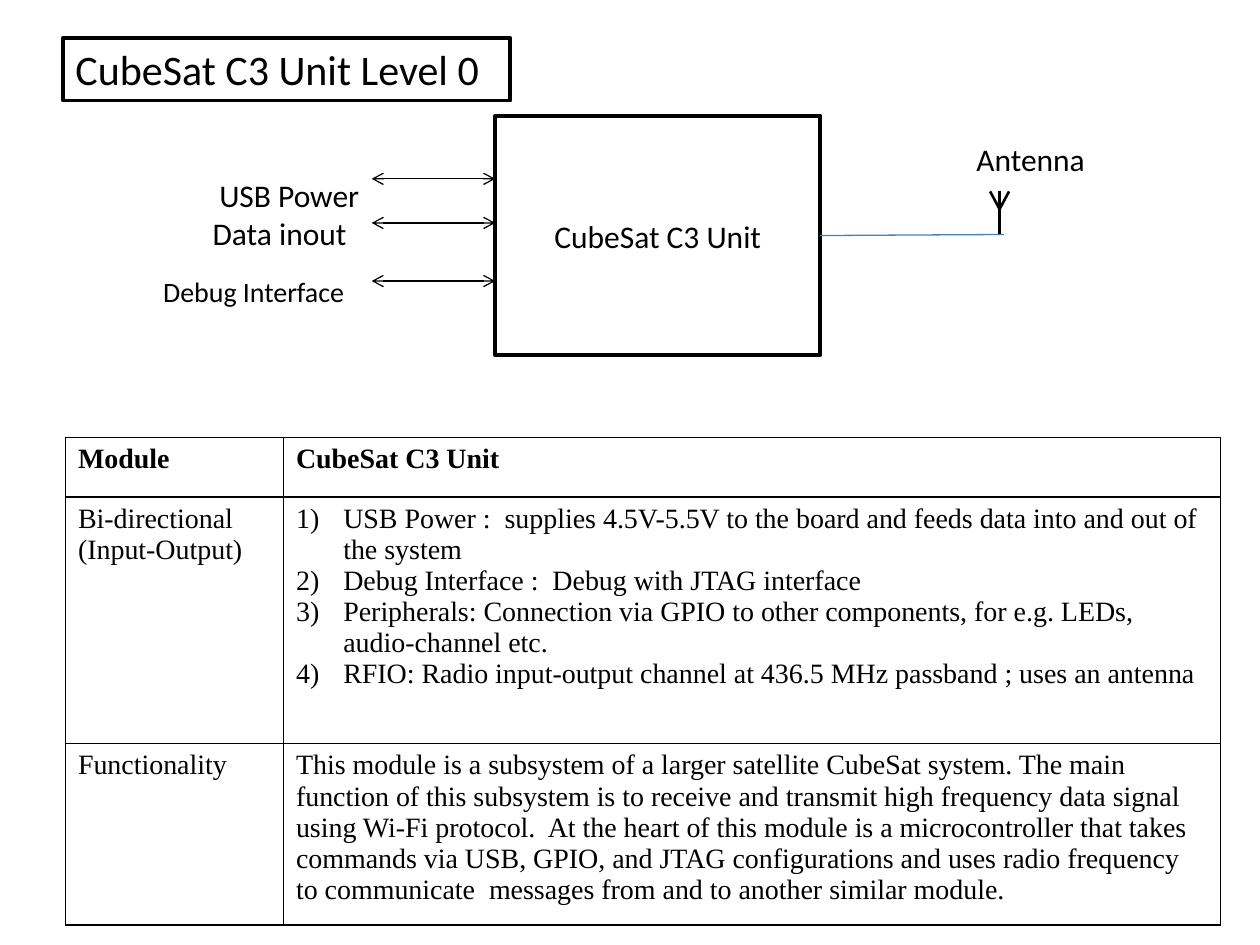
from lxml.etree import SubElement
from pptx import Presentation
from pptx.dml.color import RGBColor
from pptx.enum.shapes import MSO_CONNECTOR as CONN, MSO_SHAPE as SHAPE
from pptx.enum.text import MSO_ANCHOR as ANCHOR, PP_ALIGN as ALIGN
from pptx.oxml.ns import qn
from pptx.util import Pt

BLACK = RGBColor(0x00, 0x00, 0x00)
WHITE = RGBColor(0xFF, 0xFF, 0xFF)
BLUE = RGBColor(0x4B, 0x7E, 0xBC)

BOX_LEFT, BOX_TOP, BOX_WIDTH, BOX_HEIGHT = 283, 66.2, 185.8, 136.8
PORT_LEFT = 212.4
PORTS = [
    ("USB Power", 18, (97.2, 97.2, 115.2, 30.2), 102.2),
    ("Data inout", 18, (87.8, 118.8, 117.4, 30.2), 127.4),
    ("Debug Interface", 16, (75.6, 153.4, 128.2, 30.2), 160.6),
]
MAST_X, MAST_TOP, MAST_FORK, MAST_FOOT = 571.2, 109.4, 119.5, 134
FORK_HALF = 5.4

ROWS = [
    ("Module", ["CubeSat C3 Unit"]),
    ("Bi-directional (Input-Output)", [
        "USB Power :  supplies 4.5V-5.5V to the board and feeds data into and out of the system",
        "Debug Interface :  Debug with JTAG interface",
        "Peripherals: Connection via GPIO to other components, for e.g. LEDs, audio-channel etc.",
        "RFIO: Radio input-output channel at 436.5 MHz passband ; uses an antenna",
    ]),
    ("Functionality", [
        "This module is a subsystem of a larger satellite CubeSat system. The main function of "
        "this subsystem is to receive and transmit high frequency data signal using Wi-Fi "
        "protocol.  At the heart of this module is a microcontroller that takes commands via "
        "USB, GPIO, and JTAG configurations and uses radio frequency to communicate  messages "
        "from and to another similar module."
    ]),
]


class Sheet:
    label_font = "Calibri"
    table_font = "Times New Roman"
    table_size = 16

    def __init__(self, slide):
        self.slide = slide

    def style(self, p, font, size, bold=False):
        for r in p.runs:
            r.font.name = font
            r.font.size = Pt(size)
            r.font.bold = bold
            r.font.color.rgb = BLACK

    def box(self, text, size, bounds, align=ALIGN.LEFT, anchor=ANCHOR.TOP, border=None):
        sp = self.slide.shapes.add_shape(SHAPE.RECTANGLE, *map(Pt, bounds))
        sp.shadow.inherit = False
        sp.fill.solid()
        sp.fill.fore_color.rgb = WHITE
        if border:
            sp.line.color.rgb = BLACK
            sp.line.width = Pt(border)
        else:
            sp.line.fill.background()
        tf = sp.text_frame
        tf.word_wrap = True
        tf.vertical_anchor = anchor
        tf.text = text
        p = tf.paragraphs[0]
        p.alignment = align
        self.style(p, self.label_font, size)
        return sp

    def line(self, start, end, width, color=BLACK, arrows=False):
        c = self.slide.shapes.add_connector(CONN.STRAIGHT, *map(Pt, (*start, *end)))
        c.line.color.rgb = color
        c.line.width = Pt(width)
        if arrows:
            ln = c.line._get_or_add_ln()
            for tag in ("a:headEnd", "a:tailEnd"):
                SubElement(ln, qn(tag), type="arrow")
        SubElement(c._element.spPr, qn("a:effectLst"))
        return c

    def number(self, p):
        pPr = p._p.get_or_add_pPr()
        pPr.set("marL", str(Pt(27)))
        pPr.set("indent", str(-Pt(27)))
        SubElement(pPr, qn("a:buAutoNum"), type="arabicParenR")

    def cell(self, cell, lines, bold):
        tcPr = cell._tc.get_or_add_tcPr()
        for side in ("a:lnL", "a:lnR", "a:lnT", "a:lnB"):
            ln = SubElement(tcPr, qn(side), w=str(Pt(1)))
            SubElement(SubElement(ln, qn("a:solidFill")), qn("a:srgbClr"), val=str(BLACK))
        cell.fill.background()
        tf = cell.text_frame
        tf.text = "\n".join(lines)
        for p in tf.paragraphs:
            self.style(p, self.table_font, self.table_size, bold)
            if len(lines) > 1:
                self.number(p)

    def table(self, rows, left, top, widths, heights):
        frame = self.slide.shapes.add_table(
            len(rows), len(widths), Pt(left), Pt(top), Pt(sum(widths)), Pt(sum(heights)))
        table = frame.table
        table.first_row = table.horz_banding = False
        for col, width in zip(table.columns, widths):
            col.width = Pt(width)
        for i, (name, lines) in enumerate(rows):
            table.rows[i].height = Pt(heights[i])
            self.cell(table.cell(i, 0), [name], i == 0)
            self.cell(table.cell(i, 1), lines, i == 0)


def main():
    prs = Presentation()
    prs.slide_width, prs.slide_height = Pt(720), Pt(540)
    s = Sheet(prs.slides.add_slide(prs.slide_layouts[6]))

    unit = s.box("CubeSat C3 Unit", 18, (BOX_LEFT, BOX_TOP, BOX_WIDTH, BOX_HEIGHT),
                 ALIGN.CENTER, ANCHOR.MIDDLE, 2.25)
    for text, size, bounds, y in PORTS:
        s.box(text, size, bounds, ALIGN.RIGHT)
        s.line((PORT_LEFT, y), (BOX_LEFT, y), 0.75, arrows=True)
    s.box("CubeSat C3 Unit Level 0", 24, (36, 21.6, 255.6, 36), border=2)

    s.table(ROWS, 37.4, 250, (124.6, 535.6), (34, 141, 103.5))

    feed = s.line((BOX_LEFT + BOX_WIDTH, MAST_FOOT), (573.8, MAST_FOOT), 0.75, BLUE)
    feed.begin_connect(unit, 3)
    s.box("Antenna", 18, (550.8, 76.3, 79.9, 25.2))
    s.line((MAST_X, MAST_FOOT), (MAST_X, MAST_TOP), 1.5)
    for dx in (-FORK_HALF, FORK_HALF):
        s.line((MAST_X, MAST_FORK), (MAST_X + dx, MAST_TOP), 1.5)

    prs.save("out.pptx")


if __name__ == "__main__":
    main()
